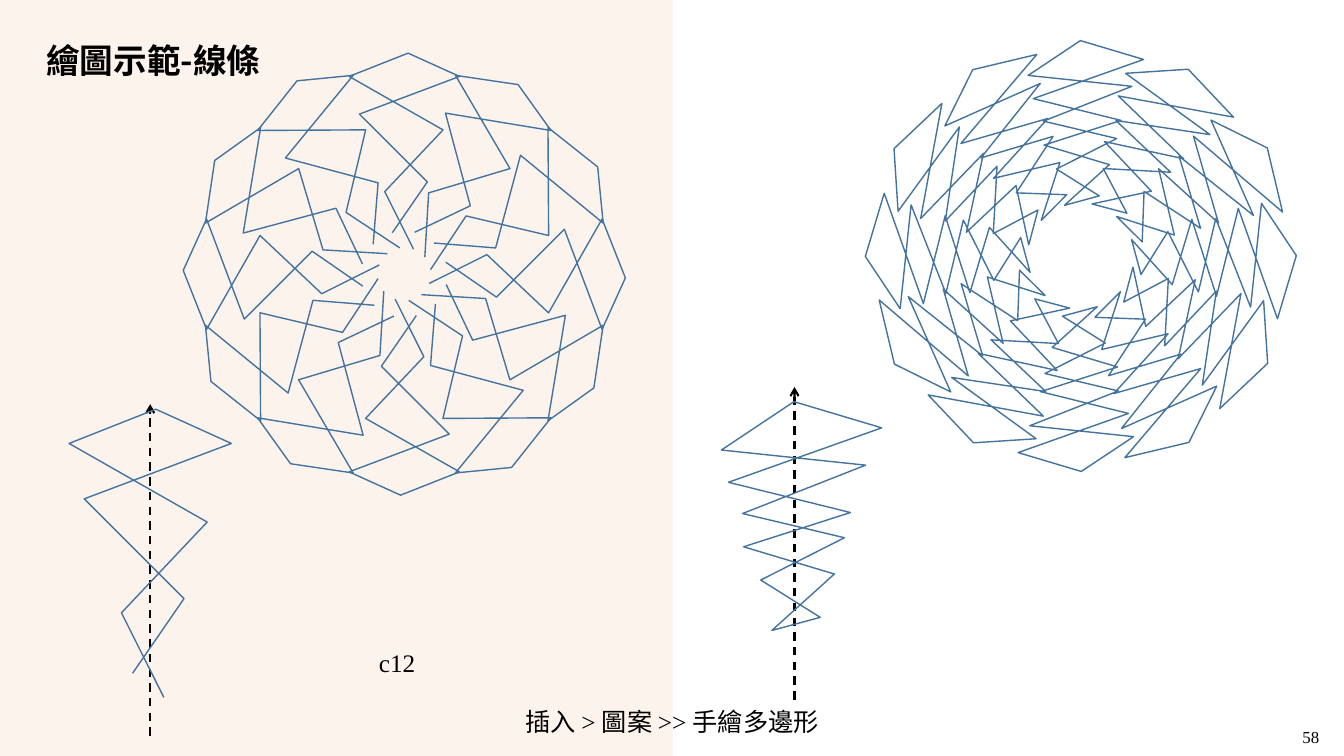
import math

import pptx
import pptx.dml.color
import pptx.enum.dml
import pptx.enum.shapes
import pptx.enum.text
import pptx.oxml
import pptx.oxml.ns
import pptx.util
from lxml import etree

Inches = pptx.util.Inches
Pt = pptx.util.Pt
RGBColor = pptx.dml.color.RGBColor
Shape = pptx.enum.shapes.MSO_SHAPE
Anchor = pptx.enum.text.MSO_ANCHOR
Align = pptx.enum.text.PP_ALIGN
qn = pptx.oxml.ns.qn

BLACK = RGBColor(0x00, 0x00, 0x00)
WHITE = RGBColor(0xFF, 0xFF, 0xFF)
PEACH = RGBColor(0xF4, 0xB1, 0x83)
PALE_PEACH = RGBColor(0xFB, 0xE5, 0xD6)
STEEL_BLUE = RGBColor(0x43, 0x73, 0x9E)

SANS = "Noto Sans CJK SC"
SERIF = "Times New Roman"

# Outlines of the two motifs
OPEN_MOTIF = [(1.31, 6.68), (1.82, 5.94), (0.83, 4.95), (2.29, 4.4), (1.54, 4.06),
              (0.68, 4.4), (2.05, 5.18), (1.2, 6.08), (1.62, 6.92)]
CLOSED_MOTIF = [(7.87, 3.98), (7.15, 4.46), (8.58, 4.61), (7.36, 5.09), (8.37, 5.33),
                (7.54, 5.75), (8.13, 6.12), (7.65, 6.25), (8.27, 5.69), (7.37, 5.42),
                (8.43, 5.08), (7.22, 4.78), (8.74, 4.24)]


class SlideBuilder:
    def __init__(self, prs):
        self.slide = prs.slides.add_slide(prs.slide_layouts[6])
        self.slide.background.fill.solid()
        self.slide.background.fill.fore_color.rgb = WHITE
        self.shapes = self.slide.shapes

    def set_alpha(self, sp, percent):
        for color in sp._element.spPr.iter(qn("a:srgbClr")):
            etree.SubElement(color, qn("a:alpha"), val=str(percent * 1000))

    def panel(self, left, top, width, height, color, alpha):
        sp = self.shapes.add_shape(Shape.RECTANGLE, Inches(left), Inches(top),
                                   Inches(width), Inches(height))
        sp.shadow.inherit = False
        sp.fill.solid()
        sp.fill.fore_color.rgb = color
        sp.line.fill.background()
        self.set_alpha(sp, alpha)

    def line(self, x1, y1, x2, y2, color, width):
        cn = self.shapes.add_connector(pptx.enum.shapes.MSO_CONNECTOR.STRAIGHT,
                                       Inches(x1), Inches(y1), Inches(x2), Inches(y2))
        cn.line.color.rgb = color
        cn.line.width = Pt(width)
        etree.SubElement(cn._element.spPr, qn("a:effectLst"))
        return cn

    def axis(self, x, bottom, top):
        cn = self.line(x, bottom, x, top, BLACK, 1.5)
        cn.line.dash_style = pptx.enum.dml.MSO_LINE.DASH
        etree.SubElement(cn.line._get_or_add_ln(), qn("a:tailEnd"), type="arrow")

    def set_text(self, sp, text, size, font, bold=False):
        tf = sp.text_frame
        tf.text = text
        p = tf.paragraphs[0]
        p.font.name = font
        p.font.size = Pt(size)
        p.font.bold = bold
        p.font.color.rgb = BLACK
        east_asian = etree.Element(qn("a:ea"), typeface=SANS)
        p.font._element.find(qn("a:latin")).addnext(east_asian)
        return tf

    def text(self, left, top, width, height, text, size, font, bold=False):
        sp = self.shapes.add_textbox(Inches(left), Inches(top), Inches(width), Inches(height))
        return self.set_text(sp, text, size, font, bold)

    def caption(self, left, top, width, height, text, size):
        sp = self.shapes.add_shape(Shape.ROUNDED_RECTANGLE, Inches(left), Inches(top),
                                   Inches(width), Inches(height))
        sp.shadow.inherit = False
        sp.fill.background()
        sp.line.fill.background()
        tf = self.set_text(sp, text, size, SERIF)
        tf.word_wrap = True
        tf.auto_size = pptx.enum.text.MSO_AUTO_SIZE.SHAPE_TO_FIT_TEXT
        tf.vertical_anchor = Anchor.MIDDLE
        tf.paragraphs[0].alignment = Align.CENTER

    def motif(self, points, center, scale=1, closed=False, angle=0):
        """Draw the motif with its box centred on the given point."""
        xs, ys = zip(*points)
        mid_x, mid_y = (min(xs) + max(xs)) / 2, (min(ys) + max(ys)) / 2
        placed = [(Inches(center[0] + scale * (x - mid_x)),
                   Inches(center[1] + scale * (y - mid_y))) for x, y in points]
        builder = self.shapes.build_freeform(*placed[0])
        builder.add_line_segments(placed[1:], close=closed)
        sp = builder.convert_to_shape()
        sp.shadow.inherit = False
        sp.fill.background()
        sp.line.color.rgb = STEEL_BLUE
        sp.line.width = Pt(1)
        sp.rotation = angle % 360

    def wheel(self, points, pivot, offset, scale, closed=False):
        """Repeat the motif twelve times around the pivot."""
        for angle in range(90, -270, -30):
            cos, sin = math.cos(math.radians(angle)), math.sin(math.radians(angle))
            center = (pivot[0] + offset[0] * cos - offset[1] * sin,
                      pivot[1] + offset[0] * sin + offset[1] * cos)
            self.motif(points, center, scale, closed, angle)


def main():
    prs = pptx.Presentation()
    prs.slide_width, prs.slide_height = Inches(13.33), Inches(7.5)
    s = SlideBuilder(prs)

    # Background halves
    s.panel(0, 0, 6.67, 7.5, PEACH, 14)
    divider = s.line(6.67, 7.5, 6.67, 0, PALE_PEACH, 0.25)
    s.set_alpha(divider, 50)

    # Title and page number
    title = s.text(0.36, 0.4, 5.95, 0.44, "繪圖示範-線條", 24, SANS, bold=True)
    title.vertical_anchor = Anchor.MIDDLE
    title.paragraphs[0].line_spacing = 0.9
    s.text(12.82, 7.16, 0.37, 0.3, "58", 12, SERIF)

    # Left: open motif and its wheel
    s.axis(1.49, 7.3, 4.01)
    s.motif(OPEN_MOTIF, (1.49, 5.49))
    s.wheel(OPEN_MOTIF, (4.01, 2.72), (0, -1.22), 0.68)
    s.text(3.66, 6.37, 0.57, 0.4, "c12", 18, SERIF)

    # Caption
    s.caption(5.04, 6.93, 3.25, 0.45, "插入 > 圖案 >> 手繪多邊形", 18)

    # Right: closed motif and its wheel
    s.axis(7.88, 6.94, 3.84)
    s.motif(CLOSED_MOTIF, (7.95, 5.12), closed=True)
    s.wheel(CLOSED_MOTIF, (10.72, 2.54), (0.05, -1.32), 0.72, closed=True)

    prs.save("out.pptx")


if __name__ == "__main__":
    main()
